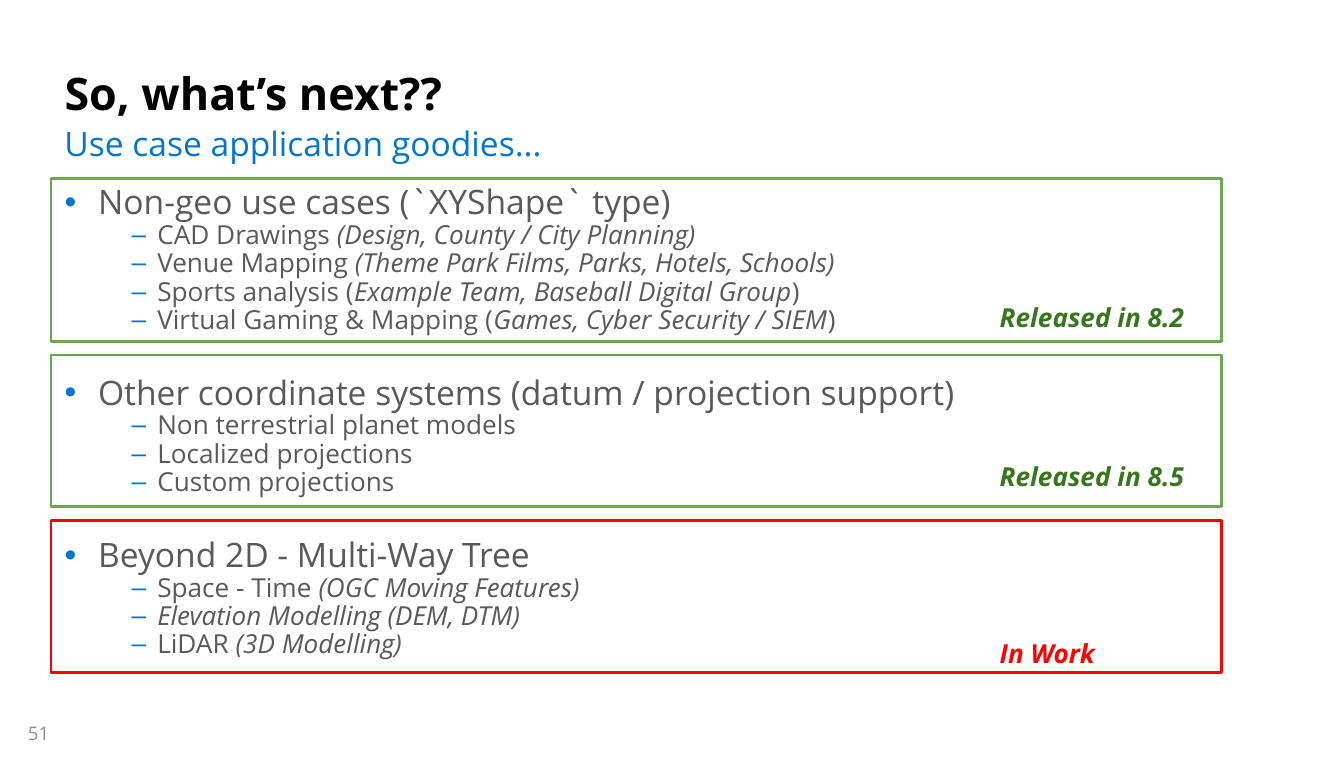
from lxml.etree import SubElement as Sub
from pptx import Presentation
from pptx.dml.color import RGBColor
from pptx.enum.shapes import MSO_SHAPE as Shape
from pptx.enum.text import MSO_ANCHOR as Anchor, MSO_AUTO_SIZE as Fit, PP_ALIGN as Align
from pptx.oxml.ns import qn
from pptx.util import Inches, Pt

UNIT = 0.1  # grid of 100 columns; rows are equally tall
FONT = "Open Sans"
BLUE, GRAY, GREEN, RED = "0077CC", "595959", "6AA84F", "FF0000"
LEFT, WIDE = 3.8, 87.1

# Top row, rows tall, frame colour, row of the tag, tag, tag colour
PANELS = [
    (13.3, 12.1, GREEN, 21.4, "Released in 8.2", "38761D"),
    (26.4, 11.3, GREEN, 33.2, "Released in 8.5", "38761D"),
    (38.7, 11.3, RED, 46.4, "In Work", RED),
]

# Heading and its points; asterisks enclose italics
TOPICS = [
    ("Non-geo use cases (`XYShape` type)", [
        "CAD Drawings *(Design, County / City Planning)*",
        "Venue Mapping *(Theme Park Films, Parks, Hotels, Schools)*",
        "Sports analysis (*Example Team, Baseball Digital Group*)",
        "Virtual Gaming & Mapping (*Games, Cyber Security / SIEM*)"]),
    ("Other coordinate systems (datum / projection support)", [
        "Non terrestrial planet models",
        "Localized projections",
        "Custom projections"]),
    ("Beyond 2D - Multi-Way Tree", [
        "Space - Time *(OGC Moving Features)*",
        "*Elevation Modelling (DEM, DTM)*",
        "LiDAR *(3D Modelling)*"]),
]


def tint(code):
    return RGBColor.from_string(code)


def grid(*cells):
    return [Inches(cell * UNIT) for cell in cells]


def place(shape, box):
    shape.left, shape.top, shape.width, shape.height = grid(*box)


def style(run, size, color, bold=False, slant=False):
    font = run.font
    font.name, font.size, font.bold, font.italic = FONT, Pt(size), bold, slant
    font.color.rgb = tint(color)


def setup(frame, pad=0.05, anchor=Anchor.TOP):
    frame.word_wrap = True
    frame.auto_size = Fit.NONE
    frame.vertical_anchor = anchor
    frame.margin_left = frame.margin_right = Inches(0.1)
    frame.margin_top = frame.margin_bottom = Inches(pad)


def label(slide, box, text, size, color, pad=0.05, lead=1.0, **look):
    frame = slide.shapes.add_textbox(*grid(*box)).text_frame
    setup(frame, pad)
    frame.text = text
    para = frame.paragraphs[0]
    para.line_spacing = lead
    style(para.runs[0], size, color, **look)


def bullet(para, mark, left, hang):
    props = para._p.get_or_add_pPr()
    props.set("marL", str(Inches(left)))
    props.set("indent", str(-Inches(hang)))
    Sub(Sub(props, qn("a:buClr")), qn("a:srgbClr")).set("val", BLUE)
    Sub(props, qn("a:buFont")).set("typeface", "Arial")
    Sub(props, qn("a:buChar")).set("char", mark)


def head(slide, box):
    """Title above, subtitle in the last rows of the box."""
    left, top, wide, tall = box
    title = slide.shapes.title
    sub = 3.8
    place(title, (left, top, wide, tall - sub + 0.3))
    setup(title.text_frame, anchor=Anchor.BOTTOM)
    title.text_frame.text = "So, what’s next??"
    para = title.text_frame.paragraphs[0]
    para.alignment, para.line_spacing = Align.LEFT, 0.9
    style(para.runs[0], 24, "000000", bold=True)
    label(slide, (left, top + tall - sub, wide, sub),
          "Use case application goodies...", 18, BLUE, lead=0.85)


def panel(slide, box, color, row, tag, ink):
    """Framed area with a status tag at its right."""
    rect = slide.shapes.add_shape(Shape.RECTANGLE, *grid(*box))
    rect.shadow.inherit = False
    rect.fill.background()
    rect.line.color.rgb = tint(color)
    rect.line.width = Pt(1.5)
    left, _, wide, _ = box
    label(slide, (left + wide - 17.5, row, 18.3, 5.5), tag, 14, ink,
          pad=0.1, bold=True, slant=True)


def topics(slide, box):
    """Two-level list running down all panels."""
    body = slide.placeholders[1]
    place(body, box)
    frame = body.text_frame
    setup(frame)
    lines = [(level, text) for name, points in TOPICS
             for level, text in [(0, name)] + [(1, point) for point in points]]
    for num, (level, text) in enumerate(lines):
        para = frame.add_paragraph() if num else frame.paragraphs[0]
        para.level = level
        para.alignment = Align.LEFT
        para.line_spacing = 0.9
        para.space_before = Pt(22 if num and not level else 0)
        para.space_after = Pt(0)
        bullet(para, *(("‒", 0.69, 0.19) if level else ("•", 0.25, 0.25)))
        for part, piece in enumerate(text.split("*")):
            if piece:
                run = para.add_run()
                run.text = piece
                style(run, 14 if level else 18, GRAY, slant=part % 2 == 1)


def main():
    deck = Presentation()
    deck.slide_width, deck.slide_height = Inches(10), Inches(5.63)
    slide = deck.slides.add_slide(deck.slide_layouts[1])
    head(slide, (LEFT, 1, WIDE, 11.9))
    for top, tall, *look in PANELS:
        panel(slide, (LEFT, top, WIDE, tall), *look)
    topics(slide, (LEFT, 13.3, 85, 38.3))
    # Page number
    label(slide, (1.1, 53.2, 11, 3), "51", 10, "909091")
    deck.save("out.pptx")


if __name__ == "__main__":
    main()
